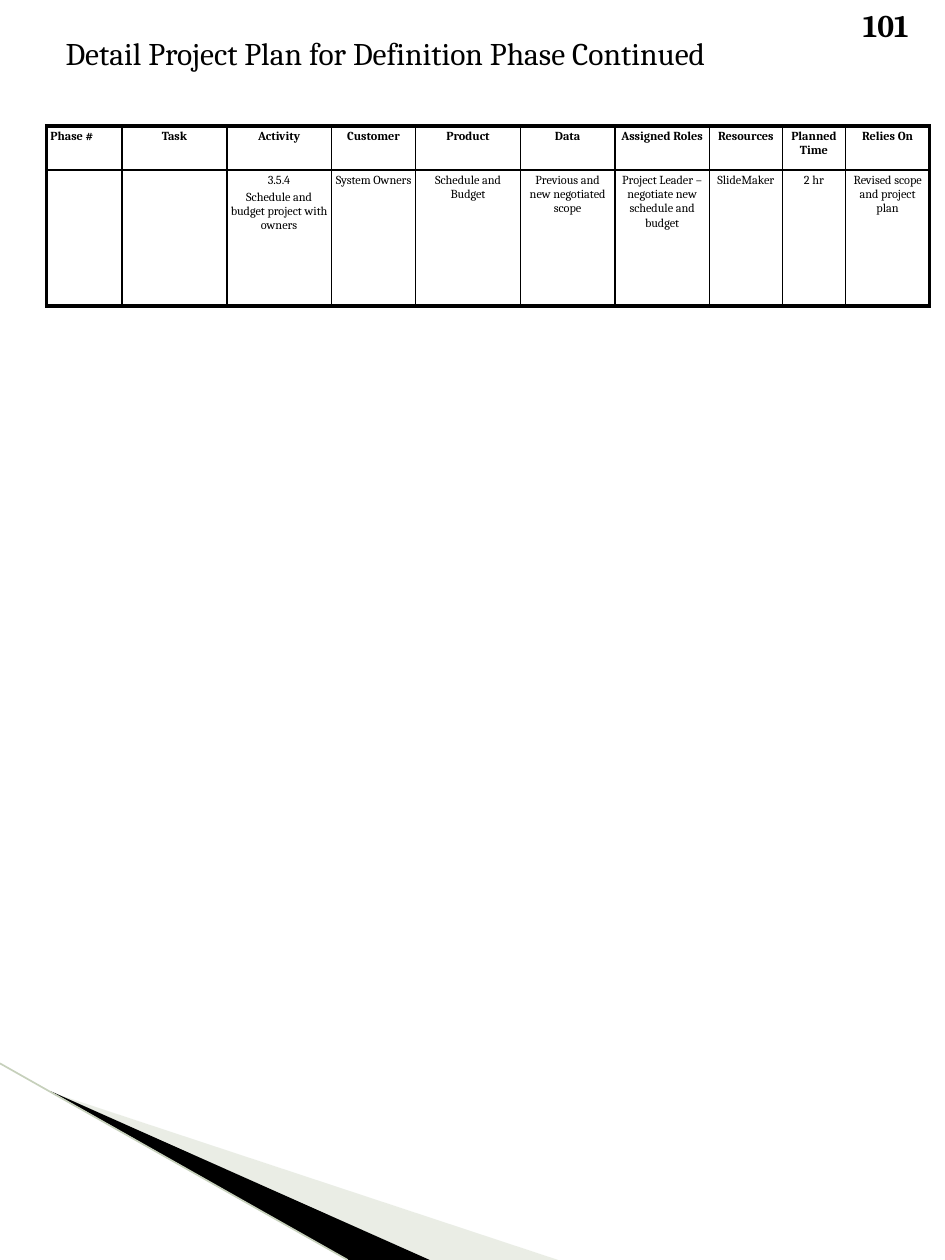
"""Build the project plan slide for the definition phase."""
from lxml.etree import SubElement
from pptx import Presentation
from pptx.dml.color import RGBColor
from pptx.enum.shapes import MSO_CONNECTOR
from pptx.enum.text import MSO_ANCHOR, MSO_AUTO_SIZE, PP_ALIGN
from pptx.oxml import parse_xml
from pptx.oxml.ns import nsdecls, qn
from pptx.util import Inches, Pt

BLACK = RGBColor(0x00, 0x00, 0x00)
PALE_GREEN = RGBColor(0xCB, 0xD4, 0xC0)
EDGE_GREEN = RGBColor(0xC6, 0xD0, 0xBB)
FONT = "Cambria"
OUTER, INNER = Pt(2.25), Pt(1)


def style(paragraph, size, bold, align):
    paragraph.alignment = align
    for run in paragraph.runs:
        run.font.name = FONT
        run.font.size = Pt(size)
        run.font.bold = bold
        run.font.color.rgb = BLACK


def set_borders(cell, widths):
    properties = cell._tc.get_or_add_tcPr()
    for index, (side, width) in enumerate(zip("LRTB", widths)):
        properties.insert(index, parse_xml(
            f'<a:ln{side} {nsdecls("a")} w="{width}"><a:solidFill>'
            f'<a:srgbClr val="{BLACK}"/></a:solidFill></a:ln{side}>'))


prs = Presentation()
prs.slide_width, prs.slide_height = Inches(7.5), Inches(10)
slide = prs.slides.add_slide(prs.slide_layouts[5])
shapes = slide.shapes

wedges = [
    (PALE_GREEN, 40, [(0.41, 8.67), (4.43, 10), (3.4, 10)]),
    (BLACK, 100, [(0.4, 8.66), (3.41, 10), (2.76, 10)]),
]
for color, opacity, corners in wedges:
    points = [(Inches(x), Inches(y)) for x, y in corners]
    builder = shapes.build_freeform(*points[0])
    builder.add_line_segments(points[1:])
    wedge = builder.convert_to_shape()
    wedge.shadow.inherit = False
    wedge.fill.solid()
    wedge.fill.fore_color.rgb = color
    wedge.line.fill.background()
    if opacity < 100:
        tint = wedge._element.spPr.find(qn("a:solidFill"))[0]
        SubElement(tint, qn("a:alpha"), val=str(opacity * 1000))

edge = shapes.add_connector(MSO_CONNECTOR.STRAIGHT, Inches(0), Inches(8.44),
                            Inches(2.76), Inches(10))
edge.line.color.rgb = EDGE_GREEN
edge.line.width = Pt(0.95)
SubElement(edge._element.spPr, qn("a:effectLst"))

heading = shapes.title
heading.left, heading.top = Inches(0.42), Inches(0.22)
heading.width, heading.height = Inches(6.33), Inches(0.4)
page_number = shapes.add_textbox(Inches(6.75), Inches(0), Inches(0.75), Inches(0.4))
labels = [
    (heading, "Detail Project Plan for Definition Phase Continued", False),
    (page_number, "101", True),
]
for label, text, bold in labels:
    frame = label.text_frame
    frame.text = text
    frame.word_wrap = True
    frame.auto_size = MSO_AUTO_SIZE.NONE
    frame.vertical_anchor = MSO_ANCHOR.TOP
    style(frame.paragraphs[0], 18, bold, PP_ALIGN.LEFT)

plan_rows = [
    ["Phase #", "Task", "Activity", "Customer", "Product", "Data",
     "Assigned Roles", "Resources", "Planned Time", "Relies On"],
    ["", "", "3.5.4\nSchedule and budget project with owners", "System Owners",
     "Schedule and Budget", "Previous and new negotiated scope",
     "Project Leader – negotiate new schedule and budget", "SlideMaker",
     "2 hr", "Revised scope and project plan"],
]
column_widths = [0.6, 0.83, 0.83, 0.67, 0.83, 0.75, 0.75, 0.58, 0.5, 0.67]
row_heights = [0.35, 1.08]
last_row, last_column = len(row_heights) - 1, len(column_widths) - 1
plan = shapes.add_table(len(row_heights), len(column_widths), Inches(0.37), Inches(1),
                        Inches(sum(column_widths)), Inches(sum(row_heights))).table
plan.first_row = plan.horz_banding = False
for column, width in zip(plan.columns, column_widths):
    column.width = Inches(width)
for row, height in zip(plan.rows, row_heights):
    row.height = Inches(height)

for r, texts in enumerate(plan_rows):
    for c, text in enumerate(texts):
        cell = plan.cell(r, c)
        cell.text_frame.text = text
        cell.margin_left = cell.margin_right = Inches(0.03)
        cell.margin_top = cell.margin_bottom = Inches(0.03)
        cell.fill.background()
        on_rim = [c == 0, c == last_column, r == 0, r == last_row]
        set_borders(cell, [OUTER if rim else INNER for rim in on_rim])
        align = PP_ALIGN.LEFT if r == c == 0 else PP_ALIGN.CENTER
        for paragraph in cell.text_frame.paragraphs:
            style(paragraph, 7, r == 0, align)
        for paragraph in cell.text_frame.paragraphs[1:]:
            paragraph.space_before = Pt(1.4)

prs.save("out.pptx")
